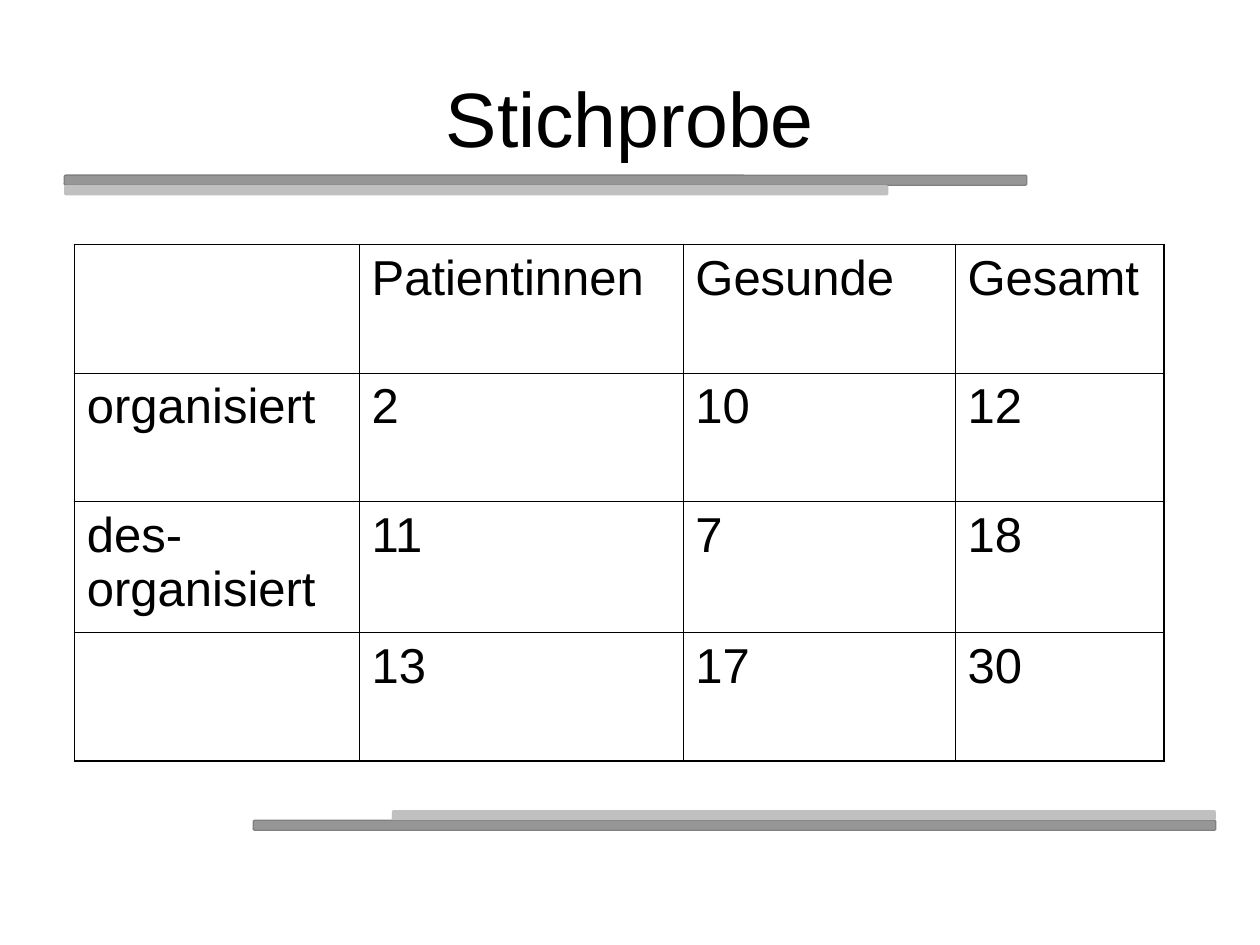
from lxml.etree import SubElement
from pptx import Presentation
from pptx.dml.color import RGBColor
from pptx.enum.shapes import MSO_SHAPE
from pptx.enum.text import MSO_ANCHOR, PP_ALIGN
from pptx.oxml.ns import qn
from pptx.util import Inches, Pt

COLORS = {
    "text": "000000",
    "border": "000000",
    "dark_bar": "969696",
    "dark_bar_line": "808080",
    "light_bar": "C0C0C0",
}
GRID_COLUMNS, GRID_ROWS = 100, 75
THIN, THICK = 0.45, 1.08


class SlideBuilder:
    font_name = "Arial"
    title_size = 44
    table_size = 28

    def __init__(self, presentation):
        self.column = presentation.slide_width / GRID_COLUMNS
        self.row = presentation.slide_height / GRID_ROWS
        self.slide = presentation.slides.add_slide(presentation.slide_layouts[5])

    def box(self, left, top, width, height):
        return (round(left * self.column), round(top * self.row),
                round(width * self.column), round(height * self.row))

    def add_text(self, paragraph, text, size):
        run = paragraph.add_run()
        run.text = text
        run.font.name = self.font_name
        run.font.size = Pt(size)
        run.font.color.rgb = RGBColor.from_string(COLORS["text"])

    def bar(self, left, top, width, fill, line=None):
        shape = self.slide.shapes.add_shape(
            MSO_SHAPE.FLOWCHART_ALTERNATE_PROCESS, *self.box(left, top, width, 0.8))
        shape.shadow.inherit = False
        shape.fill.solid()
        shape.fill.fore_color.rgb = RGBColor.from_string(COLORS[fill])
        if line:
            shape.line.color.rgb = RGBColor.from_string(COLORS[line])
            shape.line.width = Pt(0.75)
        else:
            shape.line.fill.background()

    def title(self, text, left, top, width, height):
        title = self.slide.shapes.title
        title.left, title.top, title.width, title.height = self.box(left, top, width, height)
        self.slide.shapes._spTree.append(title._element)
        frame = title.text_frame
        frame.word_wrap = True
        frame.vertical_anchor = MSO_ANCHOR.MIDDLE
        paragraph = frame.paragraphs[0]
        paragraph.alignment = PP_ALIGN.CENTER
        self.add_text(paragraph, text, self.title_size)

    def borders(self, cell, widths):
        properties = cell._tc.get_or_add_tcPr()
        for side, width in widths.items():
            line = SubElement(properties, qn(f"a:ln{side}"), w=str(int(Pt(width))))
            fill = SubElement(line, qn("a:solidFill"))
            SubElement(fill, qn("a:srgbClr"), val=COLORS["border"])

    def table(self, records, left, top, widths, heights):
        table = self.slide.shapes.add_table(
            len(heights), len(widths),
            *self.box(left, top, sum(widths), sum(heights))).table
        table.first_row = table.horz_banding = False
        for column, width in zip(table.columns, widths):
            column.width = round(width * self.column)
        for row, height in zip(table.rows, heights):
            row.height = round(height * self.row)
        last_row, last_column = len(heights) - 1, len(widths) - 1
        for i, record in enumerate(records):
            for j, text in enumerate(record):
                cell = table.cell(i, j)
                self.borders(cell, {
                    "L": THICK if j == 0 else THIN,
                    "R": THICK if j == last_column else THIN,
                    "T": THICK if i == 0 else THIN,
                    "B": THICK if i == last_row else THIN,
                })
                cell.fill.background()
                if text:
                    self.add_text(cell.text_frame.paragraphs[0], text, self.table_size)


def main():
    presentation = Presentation()
    presentation.slide_width = Inches(10)
    presentation.slide_height = Inches(7.5)
    builder = SlideBuilder(presentation)

    for left, top in ((20.1, 65.1), (5.1, 13.9)):
        builder.bar(left, top, 76.4, "dark_bar", "dark_bar_line")
    for left, top in ((5.1, 14.7), (31.1, 64.3)):
        builder.bar(left, top, 65.4, "light_bar")

    builder.title("Stichprobe", 5, 3, 90, 12.5)
    builder.table(
        [
            ("", "Patientinnen", "Gesunde", "Gesamt"),
            ("organisiert", "2", "10", "12"),
            ("des-organisiert", "11", "7", "18"),
            ("", "13", "17", "30"),
        ],
        5.9, 19.4,
        widths=(22.6, 25.7, 21.6, 16.6),
        heights=(10.2, 10.2, 10.4, 10.2),
    )
    presentation.save("out.pptx")


if __name__ == "__main__":
    main()
